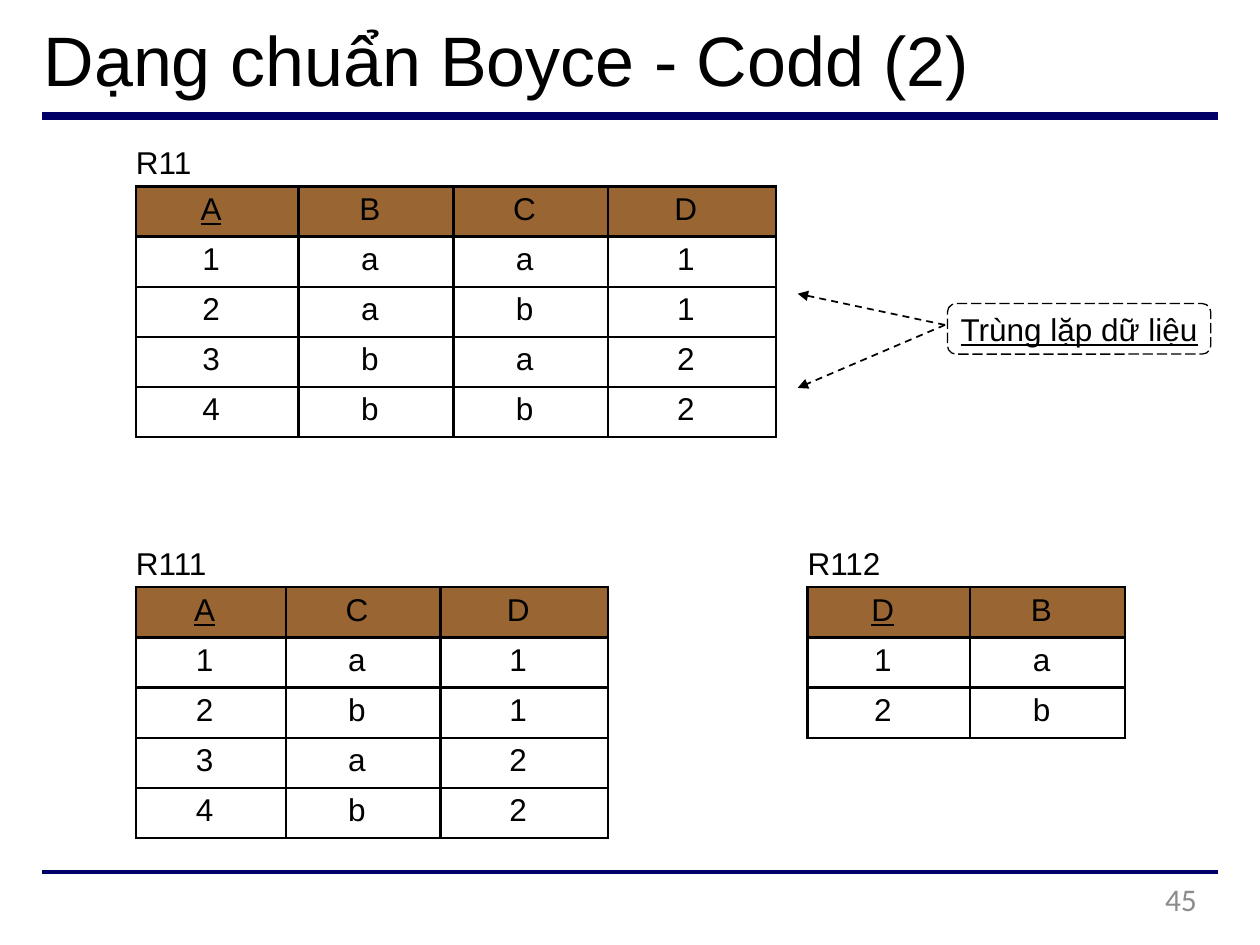
from lxml.etree import SubElement
from pptx import Presentation
from pptx.dml.color import RGBColor
from pptx.enum.dml import MSO_LINE as Dash
from pptx.enum.shapes import MSO_CONNECTOR as Link, MSO_SHAPE as Shape
from pptx.enum.text import MSO_ANCHOR as Anchor, MSO_AUTO_SIZE as Fit, PP_ALIGN as Align
from pptx.oxml.ns import qn
from pptx.util import Cm, Pt

BLACK = RGBColor(0x00, 0x00, 0x00)
NAVY = RGBColor(0x00, 0x00, 0x66)
BROWN = RGBColor(0x99, 0x66, 0x33)
GRAY = RGBColor(0x8C, 0x8C, 0x8C)

ROW = 1.01
KEY, MID, LAST = 3.28, 3.12, 3.38


def write(frame, text, size=18, color=BLACK, face="Arial", align=Align.LEFT, under=False):
    frame.text = text
    para = frame.paragraphs[0]
    para.alignment = align
    font = para.runs[0].font
    font.size, font.name, font.underline = Pt(size), face, under
    font.color.rgb = color


def inset(box, left=0.0, top=0.0, right=0.0):
    """Set the inner margins of a text frame or a table cell."""
    box.margin_left, box.margin_top = Cm(left), Cm(top)
    box.margin_right, box.margin_bottom = Cm(right), Cm(0)


def add_label(slide, text, x, y, w, h, **style):
    frame = slide.shapes.add_textbox(Cm(x), Cm(y), Cm(w), Cm(h)).text_frame
    frame.word_wrap = True
    inset(frame, 0.03, 0.05)
    write(frame, text, **style)


def add_line(slide, x1, y1, x2, y2, color, width):
    line = slide.shapes.add_connector(Link.STRAIGHT, Cm(x1), Cm(y1), Cm(x2), Cm(y2))
    line.line.color.rgb = color
    line.line.width = Pt(width)
    SubElement(line._element.spPr, qn("a:effectLst"))
    return line


def add_arrow(slide, x1, y1, x2, y2):
    arrow = add_line(slide, x1, y1, x2, y2, BLACK, 1)
    arrow.line.dash_style = Dash.DASH
    SubElement(arrow.line._get_or_add_ln(), qn("a:tailEnd"), type="triangle")


def add_title(slide, text, x, y, w, h):
    title = slide.shapes.title
    title.left, title.top, title.width, title.height = Cm(x), Cm(y), Cm(w), Cm(h)
    frame = title.text_frame
    frame.auto_size = Fit.NONE
    frame.vertical_anchor = Anchor.TOP
    inset(frame, 0.03, 0.05)
    write(frame, text, size=40)


def add_border(cell):
    props = cell._tc.get_or_add_tcPr()
    for pos, side in enumerate(("lnL", "lnR", "lnT", "lnB")):
        edge = props.makeelement(qn(f"a:{side}"), {"w": str(Pt(1.5))})
        fill = SubElement(edge, qn("a:solidFill"))
        SubElement(fill, qn("a:srgbClr"), val=str(BLACK))
        props.insert(pos, edge)


def add_relation(slide, name, rows, widths, x, y):
    """Draw a named relation; the first column of its header is the key."""
    add_label(slide, name, x - 0.03, y - 0.92, 2, 0.84)
    table = slide.shapes.add_table(len(rows), len(widths), Cm(x), Cm(y),
                                   Cm(sum(widths)), Cm(ROW * len(rows))).table
    table.first_row = table.horz_banding = False
    for col, width in zip(table.columns, widths):
        col.width = Cm(width)
    for r, row in enumerate(rows):
        table.rows[r].height = Cm(ROW)
        for c, text in enumerate(row):
            cell = table.cell(r, c)
            inset(cell, top=0.11, right=0.25)
            write(cell.text_frame, text, align=Align.CENTER, under=(r == 0 and c == 0))
            if r == 0:
                cell.fill.solid()
                cell.fill.fore_color.rgb = BROWN
            else:
                cell.fill.background()
            add_border(cell)


def add_remark(slide, text, x, y, w, h):
    """Draw a dashed remark with two arrows to the rows on its left."""
    box = slide.shapes.add_shape(Shape.ROUNDED_RECTANGLE, Cm(x), Cm(y), Cm(w), Cm(h))
    box.adjustments[0] = 0.17
    box.shadow.inherit = False
    box.fill.background()
    box.line.color.rgb = BLACK
    box.line.width = Pt(0.75)
    box.line.dash_style = Dash.LONG_DASH
    frame = box.text_frame
    frame.word_wrap = False
    frame.vertical_anchor = Anchor.MIDDLE
    inset(frame)
    write(frame, text, align=Align.CENTER, under=True)
    for rise in (-0.2, 1.7):
        add_arrow(slide, x - 0.05, y + 0.43, x - 3.02, y + rise)


def main():
    deck = Presentation()
    deck.slide_width, deck.slide_height = Cm(25.4), Cm(19.05)
    slide = deck.slides.add_slide(deck.slide_layouts[5])

    for y, width in ((2.33, 4.5), (17.57, 2.25)):
        add_line(slide, 0.85, y, 24.55, y, NAVY, width)
    add_title(slide, "Dạng chuẩn Boyce - Codd (2)", 0.85, 0.28, 23.47, 1.75)

    add_relation(slide, "R11", ("ABCD", "1aa1", "2ab1", "3ba2", "4bb2"),
                 (KEY, MID, MID, LAST), 2.74, 3.76)
    add_relation(slide, "R111", ("ACD", "1a1", "2b1", "3a2", "4b2"),
                 (3.02, MID, LAST), 2.74, 11.84)
    add_relation(slide, "R112", ("DB", "1a", "2b"), (KEY, MID), 16.28, 11.84)
    add_remark(slide, "Trùng lặp dữ liệu", 19.1, 6.12, 5.31, 1.02)

    add_label(slide, "45", 18.29, 17.7, 5.84, 0.97,
              color=GRAY, face="Calibri", align=Align.RIGHT)
    deck.save("out.pptx")


if __name__ == "__main__":
    main()
